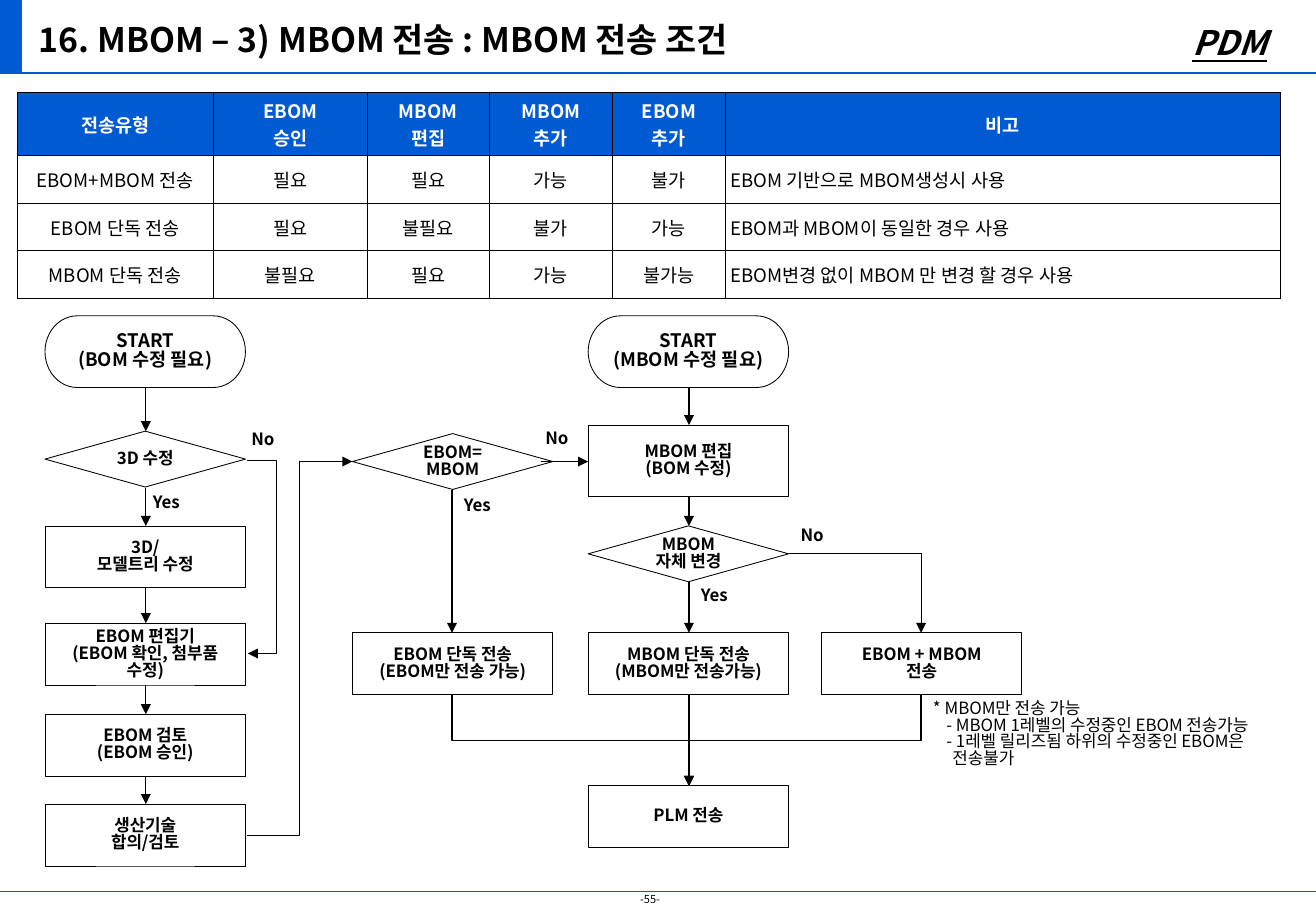
from pptx import Presentation
from pptx.dml.color import RGBColor
from pptx.enum.shapes import MSO_CONNECTOR as link, MSO_SHAPE as form
from pptx.enum.text import MSO_ANCHOR as anchor, MSO_AUTO_SIZE as fit, PP_ALIGN as align
from pptx.oxml import parse_xml
from pptx.oxml.ns import nsdecls
from pptx.util import Inches, Pt

theme = {
    "font": "Noto Sans CJK KR",
    "blue": RGBColor.from_string("005BD3"),
    "black": RGBColor.from_string("000000"),
    "white": RGBColor.from_string("FFFFFF"),
    "title": Pt(20), "head": Pt(11), "body": Pt(10), "page": Pt(6.5),
    "thin": Pt(0.5), "line": Pt(0.75),
}


def write(frame, words, size="body", side=align.LEFT, color="black", space=0.83, **style):
    """Fill a text frame, one paragraph for each line of words."""
    frame.text = words
    look = {"name": theme["font"], "size": theme[size], "bold": True, **style}
    for para in frame.paragraphs:
        para.alignment = side
        para.line_spacing = space
        para.space_before = Pt(0)
        for run in para.runs:
            for key, value in look.items():
                setattr(run.font, key, value)
            run.font.color.rgb = theme[color]
            run.font._element.append(parse_xml(
                f'<a:ea {nsdecls("a")} typeface="{theme["font"]}"/>'))


def join(x1, y1, x2, y2, kind=link.STRAIGHT, color="black", arrow=True):
    wire = slide.shapes.add_connector(kind, Inches(x1), Inches(y1), Inches(x2), Inches(y2))
    wire.line.color.rgb = theme[color]
    wire.line.width = theme["line"]
    if arrow:
        wire.line._get_or_add_ln().append(parse_xml(
            f'<a:tailEnd {nsdecls("a")} type="triangle"/>'))
    wire._element.spPr.append(parse_xml(f'<a:effectLst {nsdecls("a")}/>'))
    return wire


deck = Presentation()
deck.slide_width, deck.slide_height = Inches(10.83), Inches(7.5)
slide = deck.slides.add_slide(deck.slide_layouts[5])

# Page frame
bar = slide.shapes.add_shape(form.RECTANGLE, Inches(-0.02), 0, Inches(0.2), Inches(0.6))
bar.shadow.inherit = False
bar.fill.solid()
bar.fill.fore_color.rgb = theme["blue"]
bar.line.fill.background()
for y in (0.6, 7.34):
    join(0, y, 10.83, y, color="blue", arrow=False)

title = slide.shapes.title
place = {"left": 0.22, "top": 0.1, "width": 10.4, "height": 0.44}
for key, value in place.items():
    setattr(title, key, Inches(value))
title.text_frame.auto_size = fit.NONE
title.text_frame.vertical_anchor = anchor.MIDDLE
write(title.text_frame, "16. MBOM – 3) MBOM 전송 : MBOM 전송 조건", "title", space=1.0)

# Transfer conditions
rows = [
    ("전송유형", "EBOM\n승인", "MBOM\n편집", "MBOM\n추가", "EBOM\n추가", "비고"),
    ("EBOM+MBOM 전송", "필요", "필요", "가능", "불가", "EBOM 기반으로 MBOM생성시 사용"),
    ("EBOM 단독 전송", "필요", "불필요", "불가", "가능", "EBOM과 MBOM이 동일한 경우 사용"),
    ("MBOM 단독 전송", "불필요", "필요", "가능", "불가능", "EBOM변경 없이 MBOM 만 변경 할 경우 사용"),
]
grid = slide.shapes.add_table(4, 6, Inches(0.14), Inches(0.76), Inches(10.4), Inches(1.68)).table
for col, width in zip(grid.columns, (1.62, 1.26, 1.01, 1.01, 0.93, 4.57)):
    col.width = Inches(width)
for r, row in enumerate(rows):
    grid.rows[r].height = Inches(0.39 if r else 0.51)
    for c, words in enumerate(row):
        cell = grid.cell(r, c)
        for edge in ("left", "right", "top", "bottom"):
            setattr(cell, f"margin_{edge}", Inches(0.04))
        cell.vertical_anchor = anchor.MIDDLE
        for edge in "LRTB":
            cell._tc.get_or_add_tcPr().append(parse_xml(
                f'<a:ln{edge} {nsdecls("a")} w="{theme["thin"]}"><a:solidFill>'
                f'<a:srgbClr val="{theme["black"]}"/></a:solidFill></a:ln{edge}>'))
        cell.fill.solid()
        cell.fill.fore_color.rgb = theme["white" if r else "blue"]
        side = align.LEFT if r and c == 5 else align.CENTER
        write(cell.text_frame, words, "head", side, "black" if r else "white", 1.0, bold=not r)

# Flow chart steps: form, left, top, words
left, mid, main, right = 0.37, 2.9, 4.84, 6.76
start, test, step = form.FLOWCHART_TERMINATOR, form.FLOWCHART_DECISION, form.RECTANGLE
high = {start: 0.59, test: 0.46, step: 0.51}
steps = [
    (start, left, 2.6, "START\n(BOM 수정 필요)"),
    (test, left, 3.55, "3D 수정"),
    (step, left, 4.33, "3D/\n모델트리 수정"),
    (step, left, 5.13, "EBOM 편집기\n(EBOM 확인, 첨부품\n수정)"),
    (step, left, 5.88, "EBOM 검토\n(EBOM 승인)"),
    (step, left, 6.62, "생산기술\n합의/검토"),
    (test, mid, 3.57, "EBOM=\nMBOM"),
    (step, mid, 5.21, "EBOM 단독 전송\n(EBOM만 전송 가능)"),
    (start, main, 2.6, "START\n(MBOM 수정 필요)"),
    (step, main, 3.5, "MBOM 편집\n(BOM 수정)"),
    (test, main, 4.33, "MBOM\n자체 변경"),
    (step, main, 5.21, "MBOM 단독 전송\n(MBOM만 전송가능)"),
    (step, main, 6.47, "PLM 전송"),
    (step, right, 5.21, "EBOM + MBOM\n전송"),
]
for kind, x, y, words in steps:
    tall = 0.59 if words.startswith("MBOM 편집") else high[kind]
    box = slide.shapes.add_shape(kind, Inches(x), Inches(y), Inches(1.65), Inches(tall))
    box.shadow.inherit = False
    box.fill.solid()
    box.fill.fore_color.rgb = theme["white"]
    box.line.color.rgb = theme["black"]
    box.line.width = theme["thin"]
    frame = box.text_frame
    frame.word_wrap = True
    frame.vertical_anchor = anchor.MIDDLE
    if kind != step:
        for edge in ("left", "right", "top", "bottom"):
            setattr(frame, f"margin_{edge}", Inches(0.04))
    write(frame, words, "head" if kind == start else "body", align.CENTER)

# Straight arrows down each column
falls = {
    1.2: [(3.19, 3.55), (4.02, 4.33), (4.84, 5.13), (5.64, 5.88), (6.39, 6.62)],
    3.72: [(4.03, 5.21)],
    5.67: [(3.19, 3.5), (4.09, 4.33), (4.79, 5.21), (5.72, 6.47)],
}
for x, spans in falls.items():
    for top, end in spans:
        join(x, top, x, end)
join(4.45, 3.8, 4.84, 3.8)

# Bent arrows
join(2.03, 6.88, 2.9, 3.8, link.ELBOW)
skip = join(2.03, 3.79, 2.04, 5.38, link.ELBOW)
skip._element.spPr.prstGeom.get_or_add_avLst().append(parse_xml(
    f'<a:gd {nsdecls("a")} name="adj1" fmla="val 2500000"/>'))
turn = join(6.49, 4.56, 7.58, 5.21, link.ELBOW)
turn._element.spPr.prstGeom.set("prst", "bentConnector2")
top, end, goal = 5.72, 6.47, 5.67
for x, flip, angle in ((7.58, "0", 90), (3.72, "1", 270)):
    wide, tall = end - top, abs(x - goal)
    cx, cy = (x + goal) / 2, (top + end) / 2
    wire = join(cx - wide / 2, cy - tall / 2, cx + wide / 2, cy + tall / 2, link.ELBOW)
    wire._element.spPr.xfrm.set("rot", str(angle * 60000))
    wire._element.spPr.xfrm.set("flipH", flip)

# Free text: left, top, width, height, words, format
notes = ("* MBOM만 전송 가능\n- MBOM 1레벨의 수정중인 EBOM 전송가능\n"
         "- 1레벨 릴리즈됨 하위의 수정중인 EBOM은 전송불가")
logo = {"size": "title", "side": align.RIGHT, "space": 1.0, "italic": True, "underline": True}
labels = [
    (1.16, 4.03, "Yes"), (1.97, 3.51, "No"), (4.39, 3.5, "No"),
    (3.72, 4.05, "Yes"), (5.67, 4.79, "Yes"), (6.49, 4.3, "No"),
]
texts = [(x, y, 0.47, 0.27, words, {}) for x, y, words in labels] + [
    (8.8, 0.13, 1.73, 0.44, "PDM", logo),
    (5.17, 7.3, 0.39, 0.21, "-55-", {"size": "page", "space": 1.0, "bold": False}),
    (7.58, 5.72, 3.03, 0.77, notes, {"bold": False}),
]
for x, y, wide, tall, words, style in texts:
    box = slide.shapes.add_textbox(Inches(x), Inches(y), Inches(wide), Inches(tall))
    frame = box.text_frame
    frame.word_wrap = words != "-55-"
    if words == "PDM":
        frame.vertical_anchor = anchor.MIDDLE
    write(frame, words, **style)
    for para in frame.paragraphs[1:]:
        ppr = para._p.get_or_add_pPr()
        ppr.set("marL", str(Inches(0.16)))
        ppr.set("indent", str(Inches(-0.05)))

deck.save("out.pptx")
